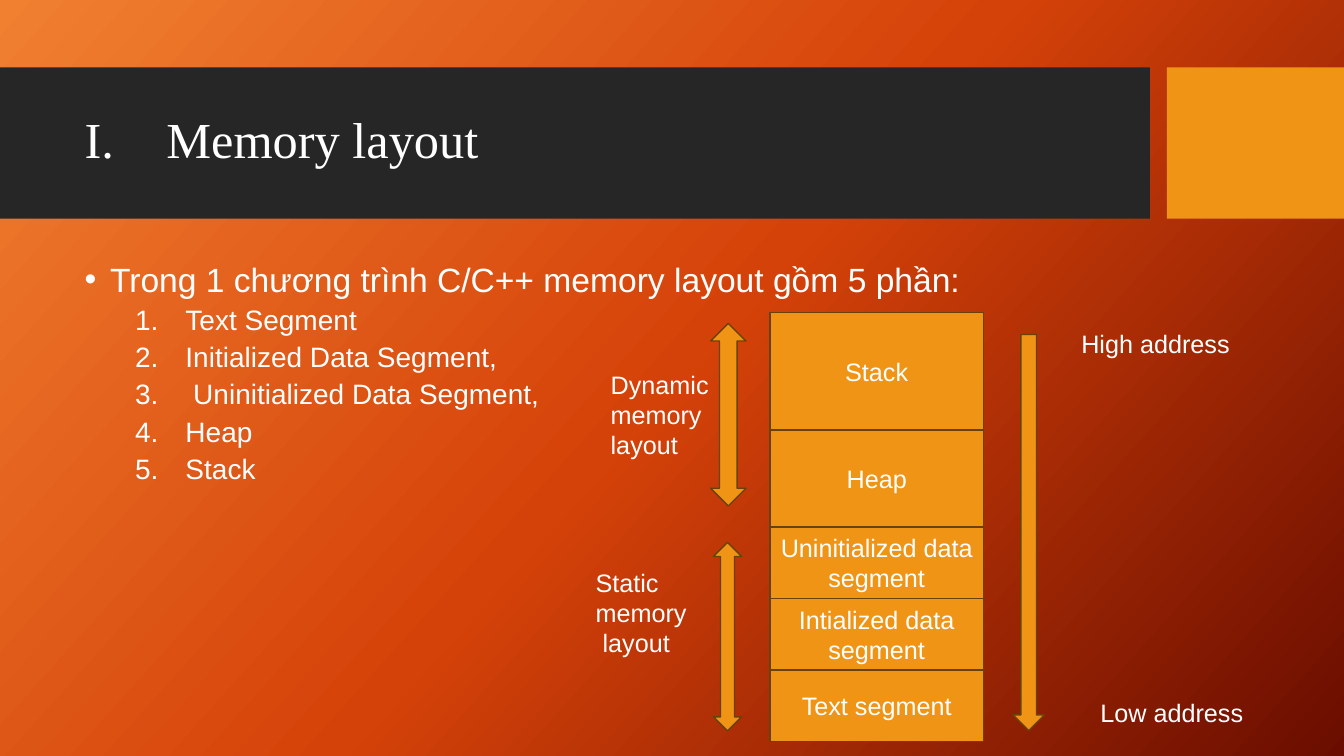
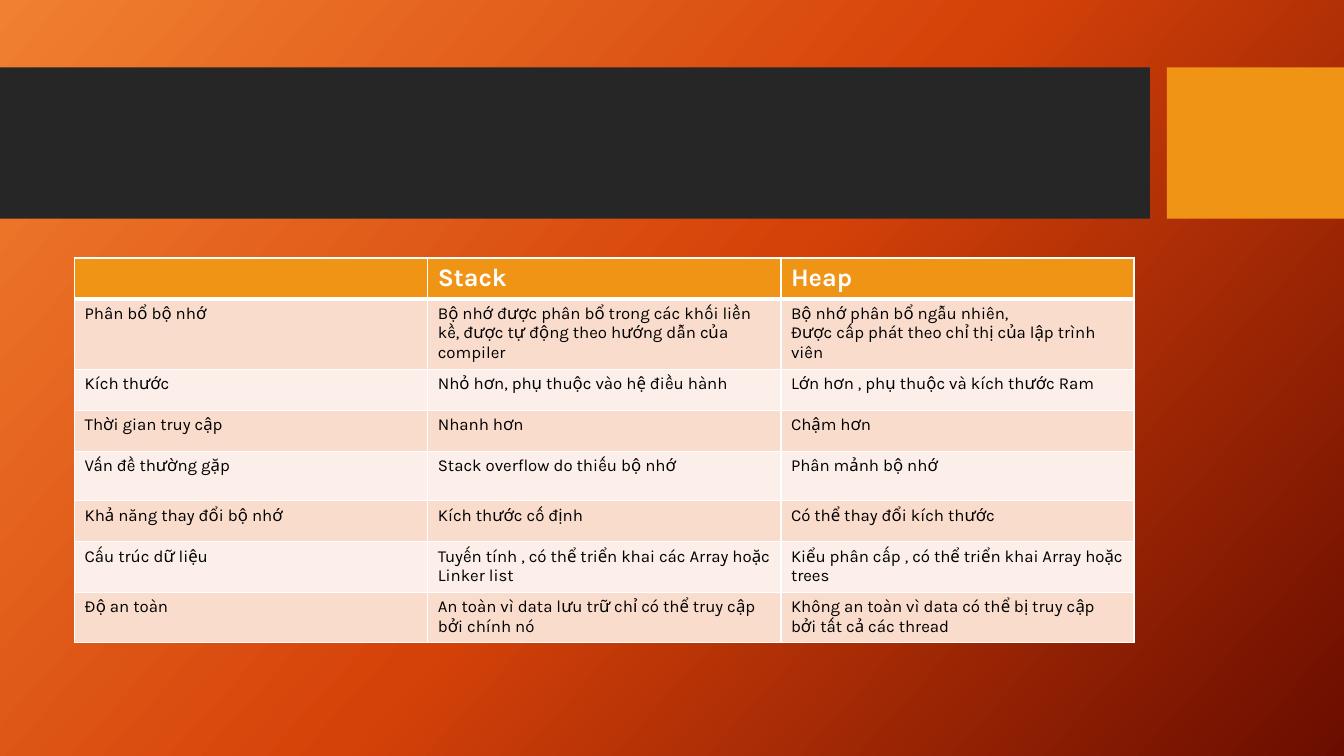
from copy import deepcopy
from dataclasses import dataclass

from lxml import etree
from pptx import Presentation
from pptx import util as u
from pptx.dml.color import RGBColor
from pptx.enum import shapes, text
from pptx.oxml.ns import qn

FORM = shapes.MSO_SHAPE
ALIGN = text.PP_ALIGN
MID = text.MSO_ANCHOR.MIDDLE


@dataclass(frozen=True)
class Theme:
    grad: tuple = ("F18031", "D54209", "6A0D00")
    angle: int = 42
    dark: str = "262626"
    gold: str = "F09415"
    edge: str = "694109"
    white: str = "FFFFFF"
    black: str = "000000"
    rows: tuple = ("F9DCCC", "FCEEE8")
    serif: str = "Times New Roman"
    sans: str = "Arial"
    grid: str = "Karla"
    title: int = 36
    lead: int = 24
    item: int = 20
    label: int = 18
    cell: int = 12


LOOK = Theme()


def tint(code):
    return RGBColor.from_string(code)


def place(item, box):
    item.left, item.top, item.width, item.height = map(u.Cm, box)


def mark(para, kind, value, left, hang):
    props = para._p.get_or_add_pPr()
    props.set("marL", str(u.Cm(left)))
    props.set("indent", str(-u.Cm(hang)))
    key = "char" if kind == "buChar" else "type"
    etree.SubElement(props, qn("a:" + kind)).set(key, value)


def put(frame, words, size=LOOK.label, font=LOOK.sans, color=LOOK.white,
        bold=False, align=ALIGN.LEFT, level=0, space=None, line=None, bullet=None):
    for part in words.split("\n"):
        para = frame.add_paragraph() if frame.text else frame.paragraphs[0]
        para.alignment, para.level = align, level
        if space is not None:
            para.space_before = u.Pt(space)
        if line:
            para.line_spacing = line
        if bullet:
            mark(para, *bullet)
        run = para.add_run()
        run.text = part
        run.font.size, run.font.name, run.font.bold = u.Pt(size), font, bold
        run.font.color.rgb = tint(color)


class Deck:
    def __init__(self, look):
        self.look = look
        self.prs = Presentation()
        self.prs.slide_width, self.prs.slide_height = u.Cm(33.87), u.Cm(19.05)
        self.slide = None
        self.back()

    def back(self):
        fill = self.prs.slide_master.background.fill
        fill.gradient()
        fill.gradient_angle = 360 - self.look.angle
        first = fill.gradient_stops[0]._gs
        first.addnext(deepcopy(first))
        for step, (stop, code) in enumerate(zip(fill.gradient_stops, self.look.grad)):
            stop.position = step / 2
            stop.color.rgb = tint(code)

    def page(self, layout):
        self.slide = self.prs.slides.add_slide(self.prs.slide_layouts[layout])
        bands = [self.shape(FORM.RECTANGLE, (0, 1.7, 28.98, 3.81), self.look.dark, None),
                 self.shape(FORM.RECTANGLE, (29.41, 1.7, 4.46, 3.81), self.look.gold, None)]
        for spot, band in enumerate(bands, 2):
            self.slide.shapes._spTree.insert(spot, band._element)

    def shape(self, form, box, fill=LOOK.gold, edge=LOOK.edge, words=""):
        item = self.slide.shapes.add_shape(form, *map(u.Cm, box))
        item.shadow.inherit = False
        item.fill.solid()
        item.fill.fore_color.rgb = tint(fill)
        if edge:
            item.line.color.rgb = tint(edge)
            item.line.width = u.Pt(1)
        else:
            item.line.fill.background()
        if words:
            item.text_frame.word_wrap = True
            item.text_frame.vertical_anchor = MID
            put(item.text_frame, words, align=ALIGN.CENTER)
        return item

    def label(self, words, box):
        frame = self.slide.shapes.add_textbox(*map(u.Cm, box)).text_frame
        frame.word_wrap = True
        put(frame, words)

    def holder(self, index, box):
        item = self.slide.placeholders[index]
        place(item, box)
        item.text_frame.auto_size = text.MSO_AUTO_SIZE.NONE
        return item.text_frame

    def title(self, words):
        frame = self.holder(0, (1.88, 2.08, 26.7, 3))
        frame.vertical_anchor = MID
        put(frame, words, size=self.look.title, font=self.look.serif, line=0.9,
            bullet=("buAutoNum", "romanUcPeriod", 2.06, 2.06))

    def body(self, lead, items):
        frame = self.holder(1, (1.88, 6.5, 22.83, 10))
        put(frame, lead, size=self.look.lead, space=10, line=0.9,
            bullet=("buChar", "•", 0.64, 0.64))
        put(frame, "\n".join(items), size=self.look.item, level=1, space=5, line=0.9,
            bullet=("buAutoNum", "arabicPeriod", 2.54, 1.27))

    def border(self, cell, row):
        props = cell._tc.get_or_add_tcPr()
        for spot, side in enumerate("LRTB"):
            thick = (row, side) in ((0, "B"), (1, "T"))
            line = etree.Element(qn("a:ln" + side), w=str(u.Pt(3 if thick else 1)))
            fill = etree.SubElement(line, qn("a:solidFill"))
            etree.SubElement(fill, qn("a:srgbClr"), val=self.look.white)
            props.insert(spot, line)

    def table(self, data, tall, box):
        grid = self.slide.shapes.add_table(len(data), len(data[0]), *map(u.Cm, box)).table
        for row, line in enumerate(data):
            grid.rows[row].height = u.Cm(tall[row])
            head = row == 0
            for col, words in enumerate(line):
                cell = grid.cell(row, col)
                cell.fill.solid()
                cell.fill.fore_color.rgb = tint(self.look.gold if head else self.look.rows[(row - 1) % 2])
                self.border(cell, row)
                if words:
                    put(cell.text_frame, words, font=self.look.grid, bold=head,
                        size=self.look.label if head else self.look.cell,
                        color=self.look.white if head else self.look.black)


deck = Deck(LOOK)

deck.page(1)
deck.title("Memory layout")
deck.body("Trong 1 chương trình C/C++ memory layout gồm 5 phần:",
          ["Text Segment", "Initialized Data Segment,",
           "\u00a0Uninitialized Data Segment, ", "Heap\u00a0", "Stack"])

top = 7.87
for words, high in (("Stack", 2.97), ("Heap", 2.44), ("Uninitialized data segment", 1.8),
                    ("Intialized data segment", 1.8), ("Text segment", 1.8)):
    deck.shape(FORM.RECTANGLE, (19.41, top, 5.37, high), words=words)
    top += high

for form, box in ((FORM.DOWN_ARROW, (25.53, 8.43, 0.79, 9.98)),
                  (FORM.UP_DOWN_ARROW, (17.91, 8.15, 0.89, 4.6)),
                  (FORM.UP_DOWN_ARROW, (17.98, 13.67, 0.71, 4.75))):
    deck.shape(form, box)

for words, box in (("High address", (27, 8.15, 4.55, 1.02)),
                   ("Low address", (27.48, 17.45, 4.14, 1.02)),
                   ("Dynamic memory\u00a0layout", (15.14, 9.17, 3.05, 2.57)),
                   ("Static memory\u00a0layout", (14.76, 14.17, 2.9, 2.57))):
    deck.label(words, box)

deck.page(6)
deck.table([
    ("", "Stack", "Heap"),
    ("Phân bổ bộ nhớ",
     "Bộ nhớ được phân bổ trong các khối liền kề, được tự động theo hướng dẫn của compiler",
     "Bộ nhớ phân bổ ngẫu nhiên,\nĐược cấp phát theo chỉ thị của lập trình viên"),
    ("Kích thước", "Nhỏ hơn, phụ thuộc vào hệ điều hành",
     "Lớn hơn , phụ thuộc và kích thước Ram"),
    ("Thời gian truy cập", "Nhanh hơn\u00a0", "Chậm hơn"),
    ("Vấn đề thường gặp", "Stack overflow do thiếu bộ nhớ", "Phân mảnh bộ nhớ"),
    ("Khả năng thay đổi bộ nhớ", "Kích thước cố định", "Có thể thay đổi kích thước"),
    ("Cấu trúc dữ liệu\u00a0", "Tuyến tính , có thể triển khai các Array hoặc Linker list",
     "Kiểu phân cấp , có thể triển khai Array hoặc trees"),
    ("Độ an toàn", "An toàn vì data lưu trữ chỉ có thể truy cập bởi chính nó",
     "Không an toàn vì data có thể bị truy cập bởi tất cả các thread"),
], (1.03, 1.74, 1.03, 1.03, 1.25, 1.03, 1.25, 1.25), (1.88, 6.5, 26.7, 9.61))

deck.prs.save("out.pptx")
